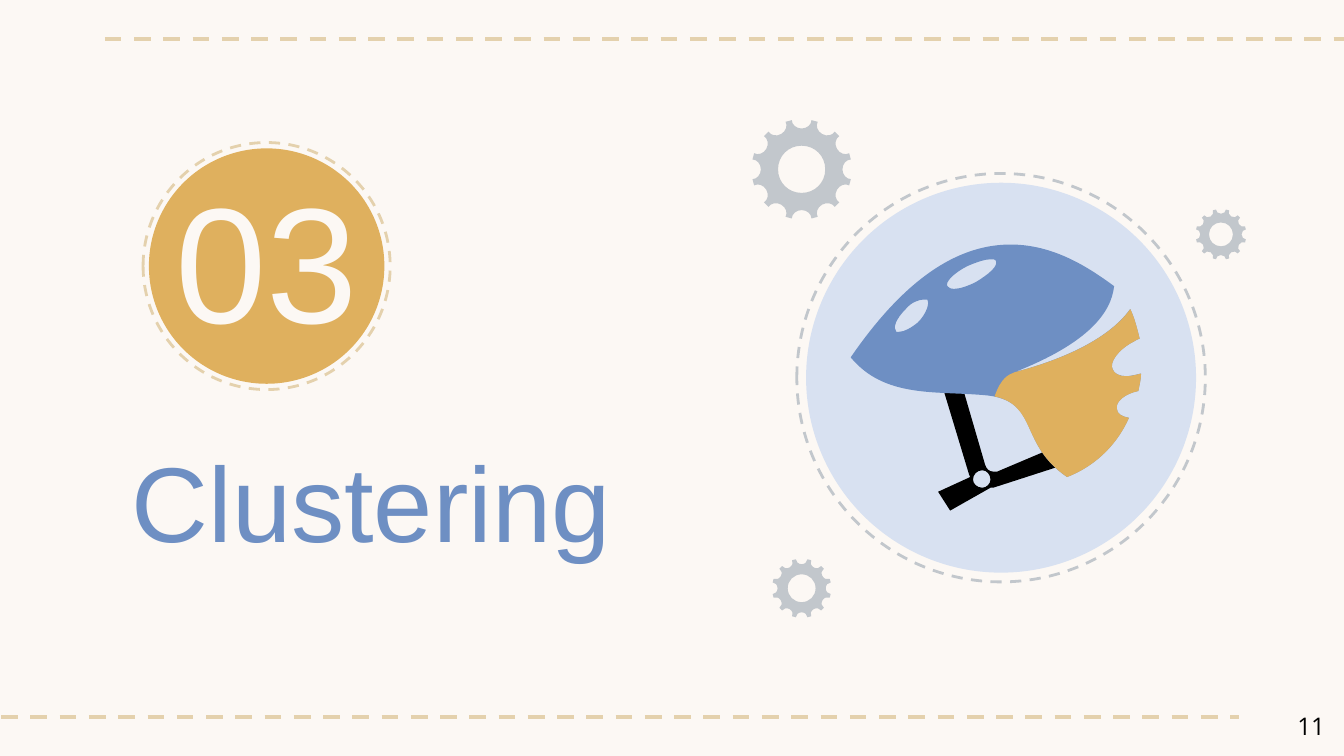
"""Build the "03 Clustering" section slide with a helmet and gears."""
from math import cos, pi, sin

from lxml import etree
from pptx import Presentation
from pptx.dml.color import RGBColor
from pptx.enum.dml import MSO_LINE
from pptx.enum.shapes import MSO_CONNECTOR, MSO_SHAPE
from pptx.enum.text import MSO_ANCHOR, PP_ALIGN
from pptx.oxml import parse_xml
from pptx.oxml.ns import nsdecls, qn
from pptx.util import Cm, Pt

DASH = MSO_LINE.DASH
STRAIGHT = MSO_CONNECTOR.STRAIGHT
OVAL = MSO_SHAPE.OVAL
TOP, MIDDLE = MSO_ANCHOR.TOP, MSO_ANCHOR.MIDDLE
LEFT, CENTER, RIGHT = PP_ALIGN.LEFT, PP_ALIGN.CENTER, PP_ALIGN.RIGHT

CREAM = RGBColor(0xFC, 0xF8, 0xF4)
SAND = RGBColor(0xE4, 0xD1, 0xAD)
GOLD = RGBColor(0xDF, 0xB0, 0x5E)
BLUE = RGBColor(0x6E, 0x8F, 0xC3)
PALE_BLUE = RGBColor(0xD8, 0xE1, 0xF1)
GREY = RGBColor(0xC2, 0xC7, 0xCC)
BLACK = RGBColor(0, 0, 0)

UNIT = Cm(2.54) / 100
TEETH = 12

RULES = [(1.98, 25.93, 0.74), (-0.53, 23.42, 13.56)]
BADGES = [
    ((5.04, 5.03), 4.67, SAND, 4.45, GOLD),
    ((18.92, 7.14), 7.72, GREY, 7.37, PALE_BLUE),
]
TEXTS = [
    ("Clustering", (2.24, 8, 13.03, 2.34), "Arial", 57, BLUE, LEFT, TOP),
    ("03", (2.54, 2.36, 5, 5.03), "Arial", 88, CREAM, CENTER, MIDDLE),
    ("11", (23.77, 13.19, 1.52, 1.09), "Open Sans", 13, BLACK, RIGHT, TOP),
]
GEARS = [(596.5, 126, 36.6), (908.5, 174.5, 18.5), (596.5, 437.8, 21.6)]

NOTCH = [(-0.2, 1), (-0.2, 0.91, -0.11, 0.83, 0, 0.83), (0.11, 0.83, 0.2, 0.91, 0.2, 1)]
HUB = [(0, 0.48), (0.27, 0.48, 0.48, 0.27, 0.48, 0), (0.48, -0.27, 0.27, -0.48, 0, -0.48),
       (-0.27, -0.48, -0.48, -0.27, -0.48, 0), (-0.48, 0.27, -0.27, 0.48, 0, 0.48)]

STRAP = [
    [(695, 267), (710, 267), (733, 346), (734, 349, 736, 351, 739, 351),
     (740, 351, 741, 351, 742, 351), (801, 326), (802, 328, 802, 340, 804, 342),
     (739, 363), (738, 363, 738, 363, 737, 363), (707, 380), (698, 366),
     (722, 355), (722, 355, 721, 354, 721, 353)],
    [(731, 350), (727, 350, 724, 353, 724, 357), (724, 360, 727, 363, 731, 363),
     (734, 363, 737, 360, 737, 357), (737, 353, 734, 350, 731, 350)],
]
REAR_EDGE = [
    (844, 236, 846, 244, 848, 252), (846, 253, 845, 253, 844, 254),
    (832, 260, 825, 270, 828, 275), (829, 278, 833, 280, 838, 280),
    (841, 280, 845, 279, 849, 278), (849, 282, 848, 286, 847, 291),
    (837, 293, 830, 299, 831, 304), (831, 308, 835, 310, 840, 311),
    (832, 329, 817, 346, 794, 355),
]
SHELL = [
    [(752, 182), (784, 182, 810, 199, 829, 213), (827, 232, 811, 255, 755, 277),
     (786, 269, 824, 254, 841, 230), *REAR_EDGE, (756, 329, 775, 297, 731, 294),
     (695, 291, 658, 296, 633, 266), (677, 202, 717, 182, 752, 182)],
    [(737, 193), (733, 193, 727, 195, 720, 198), (710, 203, 703, 210, 705, 213),
     (706, 214, 707, 215, 710, 215), (714, 215, 720, 213, 726, 210),
     (736, 204, 743, 198, 741, 194), (741, 193, 739, 193, 737, 193)],
    [(687, 223), (684, 223, 678, 225, 674, 230), (667, 237, 664, 244, 667, 247),
     (667, 247, 668, 247, 669, 247), (673, 247, 678, 244, 683, 240),
     (689, 234, 692, 226, 690, 223), (689, 223, 688, 223, 687, 223)],
]
BACK = [
    [(841, 230), *REAR_EDGE, (759, 331, 772, 302, 740, 295),
     (745, 281, 750, 279, 755, 277), (786, 269, 824, 254, 841, 230)],
]
HELMET = [(STRAP, BLACK), (SHELL, BLUE), (BACK, GOLD)]


def pairs(segment):
    """Split a flat segment into its x, y pairs."""
    return list(zip(segment[::2], segment[1::2]))


def gear_contours(cx, cy, radius):
    """Return a rim of round notches and the hub hole."""
    def place(segment, turn):
        placed = []
        for across, out in pairs(segment):
            placed.append(cx + radius * (out * sin(turn) + across * cos(turn)))
            placed.append(cy - radius * (out * cos(turn) - across * sin(turn)))
        return placed

    rim = [place(seg, 2 * pi * tooth / TEETH) for tooth in range(TEETH) for seg in NOTCH]
    return [rim, [place(seg, 0) for seg in HUB]]


def add_outline(shapes, contours, color):
    """Draw closed contours of lines and Bezier curves as one filled freeform."""
    scaled = [[[round(v * UNIT) for v in seg] for seg in c] for c in contours]
    builder = shapes.build_freeform(*scaled[0][0])
    for i, contour in enumerate(scaled):
        if i:
            builder.move_to(*contour[0])
        builder.add_line_segments([seg[-2:] for seg in contour[1:]])
    sp = builder.convert_to_shape()
    left, top = sp.left, sp.top
    lines = list(sp._element.iter(qn("a:lnTo")))
    segments = [seg for contour in scaled for seg in contour[1:]]
    for line, seg in zip(lines, segments):
        if len(seg) == 6:
            curve = etree.SubElement(line.getparent(), qn("a:cubicBezTo"))
            for x, y in pairs(seg):
                etree.SubElement(curve, qn("a:pt"), x=str(x - left), y=str(y - top))
            line.getparent().replace(line, curve)
    sp.shadow.inherit = False
    sp.fill.solid()
    sp.fill.fore_color.rgb = color
    sp.line.fill.background()


def add_circle(shapes, center, size, fill=None, line=None):
    """Draw a filled disc or a dashed ring around a center."""
    x, y = (c - size / 2 for c in center)
    sp = shapes.add_shape(OVAL, Cm(x), Cm(y), Cm(size), Cm(size))
    sp.shadow.inherit = False
    if fill is None:
        sp.fill.background()
        sp.line.color.rgb = line
        sp.line.width = Pt(1.5)
        sp.line.dash_style = DASH
    else:
        sp.fill.solid()
        sp.fill.fore_color.rgb = fill
        sp.line.fill.background()


def add_rule(shapes, x1, x2, y):
    """Draw a dashed horizontal rule."""
    rule = shapes.add_connector(STRAIGHT, Cm(x1), Cm(y), Cm(x2), Cm(y))
    rule.line.color.rgb = SAND
    rule.line.width = Pt(2.25)
    rule.line.dash_style = DASH
    rule._element.spPr.append(parse_xml(f"<a:effectLst {nsdecls('a')}/>"))


def add_text(shapes, text, box, font, size, color, align, anchor):
    """Add a one-line text box."""
    tf = shapes.add_textbox(*map(Cm, box)).text_frame
    tf.word_wrap = True
    tf.vertical_anchor = anchor
    tf.margin_left = tf.margin_right = tf.margin_top = tf.margin_bottom = Cm(0.25)
    p = tf.paragraphs[0]
    p.text = text
    p.alignment = align
    r = p.runs[0]
    r.font.name = font
    r.font.size = Pt(size)
    r.font.color.rgb = color


def main():
    """Assemble and save the slide."""
    prs = Presentation()
    prs.slide_width, prs.slide_height = Cm(25.4), Cm(14.29)
    slide = prs.slides.add_slide(prs.slide_layouts[6])
    slide.background.fill.solid()
    slide.background.fill.fore_color.rgb = CREAM
    shapes = slide.shapes
    for rule in RULES:
        add_rule(shapes, *rule)
    for center, ring, line, disc, fill in BADGES:
        add_circle(shapes, center, ring, line=line)
        add_circle(shapes, center, disc, fill=fill)
    helmet = shapes.add_group_shape().shapes
    for contours, color in HELMET:
        add_outline(helmet, contours, color)
    for gear in GEARS:
        add_outline(shapes, gear_contours(*gear), GREY)
    for item in TEXTS:
        add_text(shapes, *item)
    prs.save("out.pptx")


if __name__ == "__main__":
    main()
